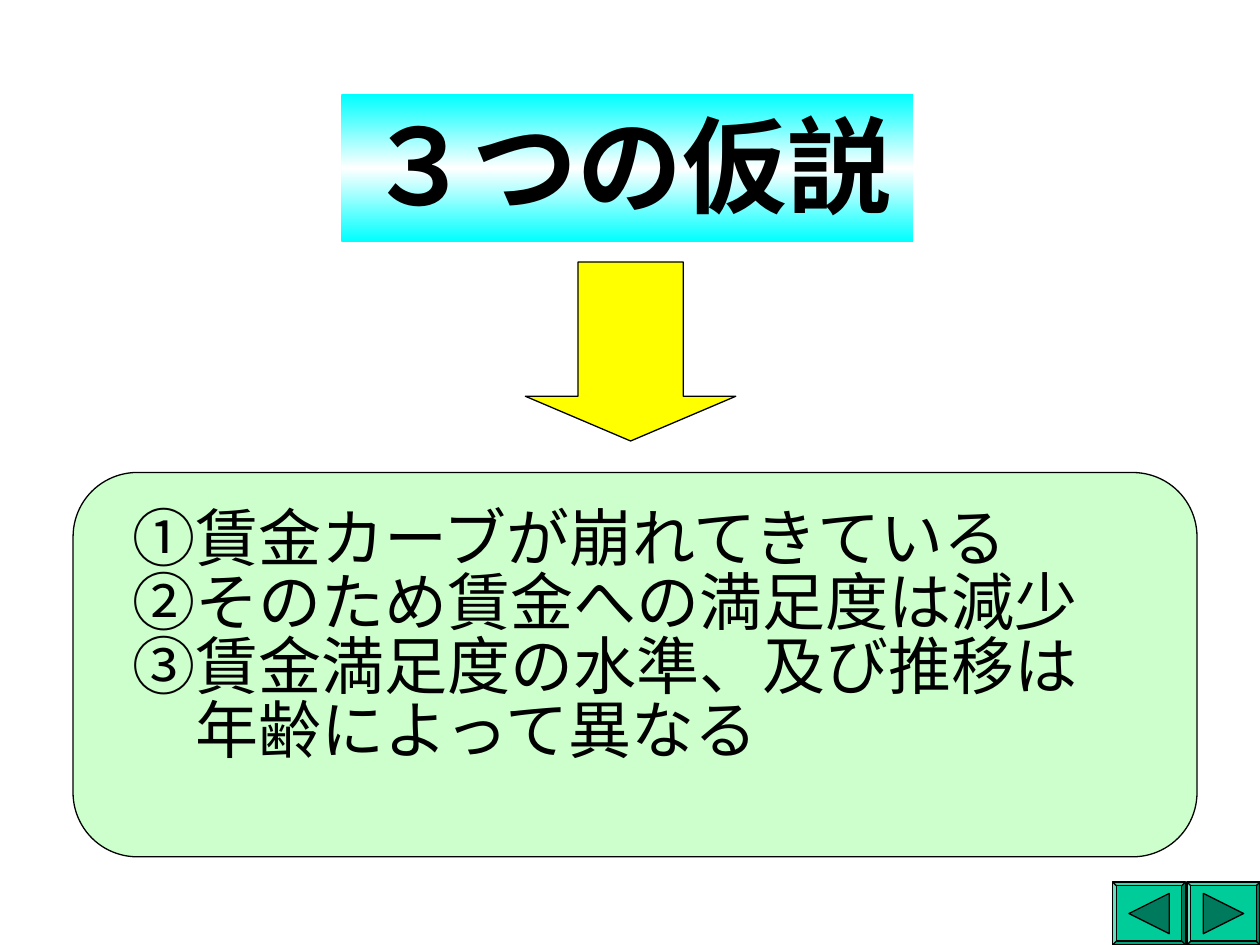
import pptx
import pptx.util
import pptx.dml.color
import pptx.enum.dml
import pptx.enum.shapes
import pptx.enum.text
import pptx.oxml
import pptx.oxml.ns
from pptx.util import Inches

RGBColor = pptx.dml.color.RGBColor
MSO_SHAPE = pptx.enum.shapes.MSO_SHAPE
BLACK = RGBColor(0x00, 0x00, 0x00)
WHITE = RGBColor(0xFF, 0xFF, 0xFF)
CYAN = RGBColor(0x00, 0xFF, 0xFF)
YELLOW = RGBColor(0xFF, 0xFF, 0x00)
PALE_GREEN = RGBColor(0xCC, 0xFF, 0xCC)
GREEN = RGBColor(0x00, 0xCC, 0x99)
DARK_GREEN = RGBColor(0x00, 0x7A, 0x5C)
JAPANESE_FONT = "Noto Sans CJK JP"


def paint(shape, color):
    """Give a shape a solid fill, a thin black outline and no shadow."""
    shape.shadow.inherit = False
    shape.fill.solid()
    shape.fill.fore_color.rgb = color
    shape.line.color.rgb = BLACK
    shape.line.width = pptx.util.Pt(0.75)


def set_font(run, latin, size, bold):
    font = run.font
    font.name, font.size, font.bold = latin, pptx.util.Pt(size), bold
    font.color.rgb = BLACK
    ea = pptx.oxml.parse_xml(
        f'<a:ea {pptx.oxml.ns.nsdecls("a")} typeface="{JAPANESE_FONT}"/>')
    font._element.find(pptx.oxml.ns.qn("a:latin")).addnext(ea)


prs = pptx.Presentation()
prs.slide_width, prs.slide_height = Inches(10), Inches(7.5)
s = prs.slides.add_slide(prs.slide_layouts[1])
title, body = s.placeholders[0], s.placeholders[1]

# Title band and hypothesis panel go behind the placeholders
band = s.shapes.add_shape(MSO_SHAPE.RECTANGLE, Inches(2.71), Inches(0.75),
                          Inches(4.54), Inches(1.17))
band.shadow.inherit = False
band.line.fill.background()
band.fill.gradient()
band.fill.gradient_angle = 90
stops = band.fill.gradient_stops
for stop, color, position in zip(stops, (CYAN, WHITE), (0, 0.5)):
    stop.color.rgb = color
    stop.position = position
stops[1]._gs.addnext(pptx.oxml.parse_xml(
    f'<a:gs {pptx.oxml.ns.nsdecls("a")} pos="100000">'
    f'<a:srgbClr val="{CYAN}"/></a:gs>'))

panel = s.shapes.add_shape(MSO_SHAPE.ROUNDED_RECTANGLE, Inches(0.58), Inches(3.75),
                           Inches(8.92), Inches(3.05))
panel.adjustments[0] = 0.167
paint(panel, PALE_GREEN)
for backdrop in (band, panel):
    title.element.addprevious(backdrop.element)

# Title
title.left, title.top = Inches(0.29), Inches(0.67)
title.width, title.height = Inches(9.42), Inches(1.25)
tf = title.text_frame
tf.text = "３つの仮説"
tf.auto_size = pptx.enum.text.MSO_AUTO_SIZE.NONE
tf.vertical_anchor = pptx.enum.text.MSO_ANCHOR.MIDDLE
tf.paragraphs[0].alignment = pptx.enum.text.PP_ALIGN.CENTER
set_font(tf.paragraphs[0].runs[0], "Times New Roman", 60, True)

# Hypotheses
body.left, body.top = Inches(0.95), Inches(4.02)
body.width, body.height = Inches(8.5), Inches(2.49)
tf = body.text_frame
tf.text = "\n".join([
    "①賃金カーブが崩れてきている",
    "②そのため賃金への満足度は減少",
    "③賃金満足度の水準、及び推移は",
    "　年齢によって異なる",
])
tf.auto_size = pptx.enum.text.MSO_AUTO_SIZE.NONE
for i, p in enumerate(tf.paragraphs):
    pPr = p._p.get_or_add_pPr()
    pPr.set("marL", str(Inches(0.38)))
    pPr.set("indent", str(-Inches(0.38)))
    pPr.append(pptx.oxml.parse_xml(f'<a:buNone {pptx.oxml.ns.nsdecls("a")}/>'))
    p.line_spacing = 0.8
    p.space_before = pptx.util.Pt(2 if i else 0)
    set_font(p.runs[0], JAPANESE_FONT, 36, False)

# Arrow from title to hypotheses
arrow = s.shapes.add_shape(MSO_SHAPE.DOWN_ARROW, Inches(4.17), Inches(2.08),
                           Inches(1.67), Inches(1.42))
arrow.adjustments[0], arrow.adjustments[1] = 0.5, 0.25
paint(arrow, YELLOW)

# Navigation buttons: direction is the side the triangle points to
for left, direction in ((9.42, 1), (8.83, -1)):
    button = s.shapes.add_shape(MSO_SHAPE.BEVEL, Inches(left), Inches(7),
                                Inches(0.58), Inches(0.5))
    button.adjustments[0] = 0.06
    paint(button, GREEN)
    center = left + 0.29
    base, tip = center - 0.16 * direction, center + 0.16 * direction
    outline = s.shapes.build_freeform(Inches(base), Inches(7.09))
    outline.add_line_segments([(Inches(tip), Inches(7.25)),
                               (Inches(base), Inches(7.41))])
    paint(outline.convert_to_shape(), DARK_GREEN)

prs.save("out.pptx")
